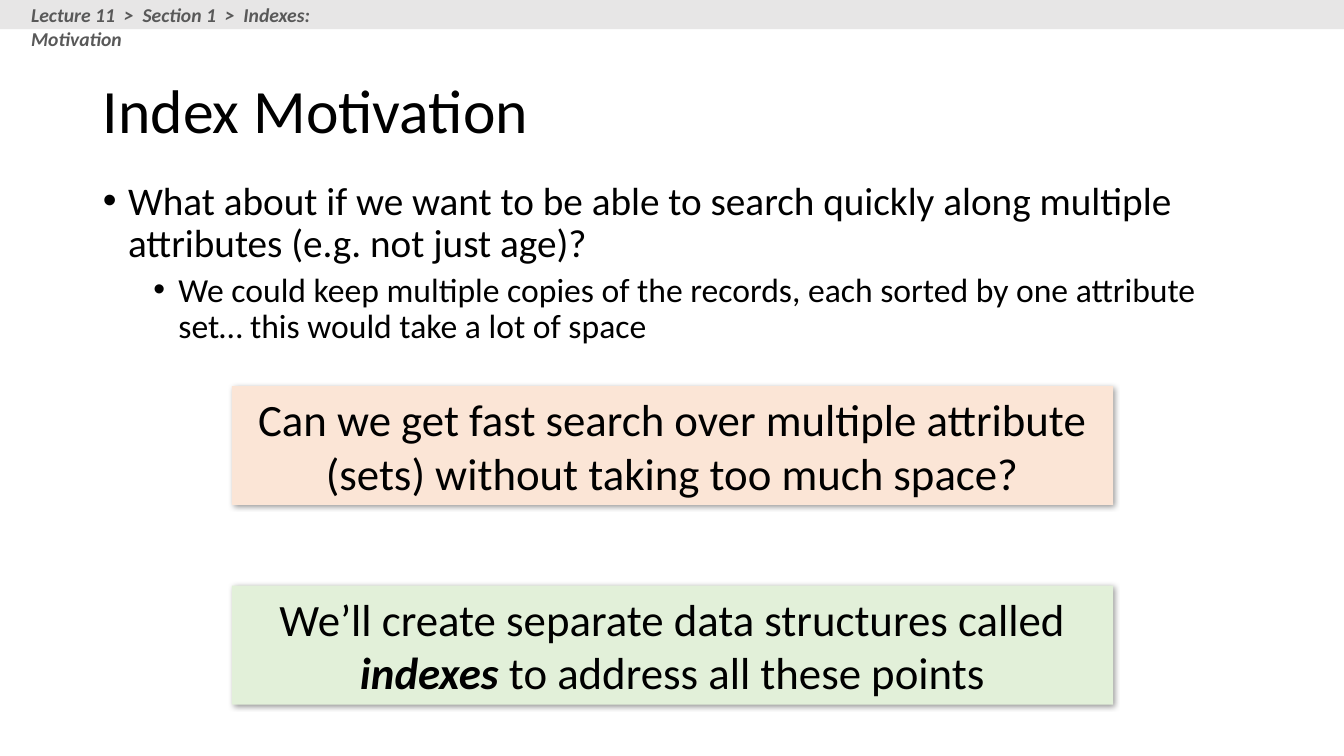
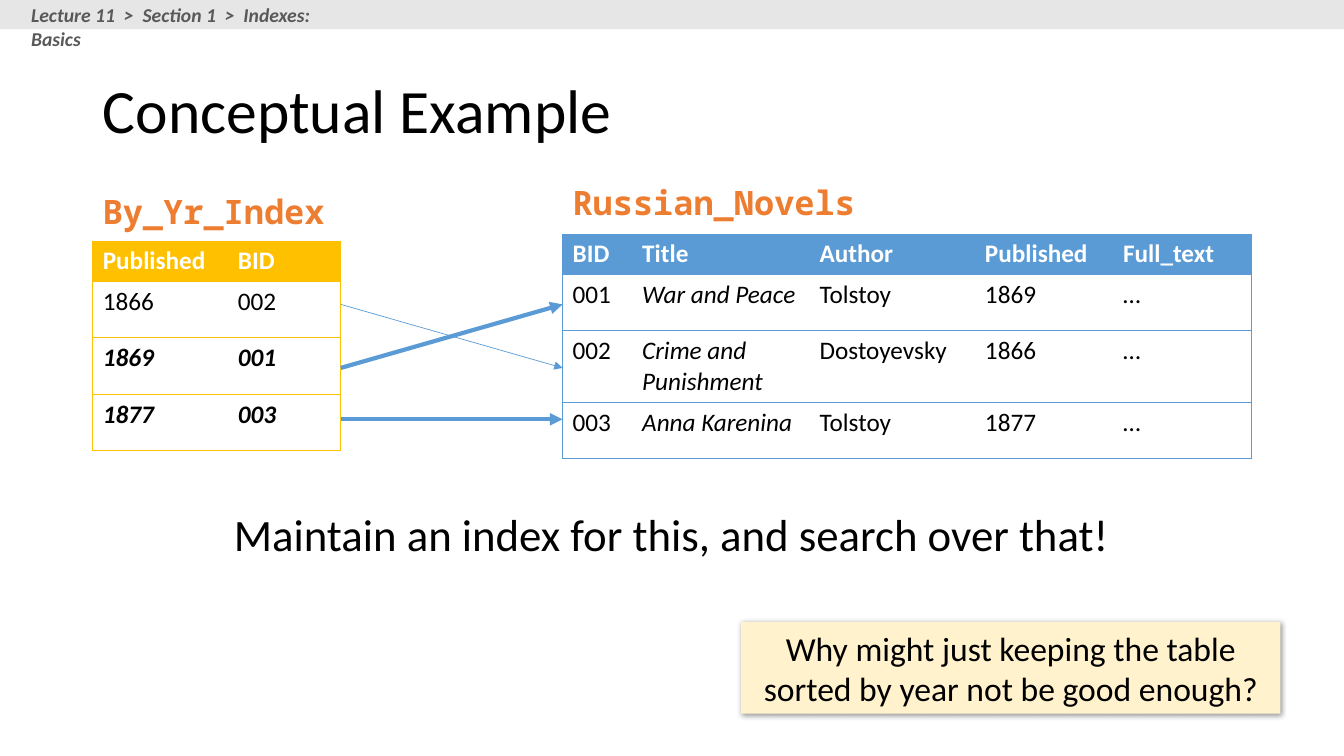
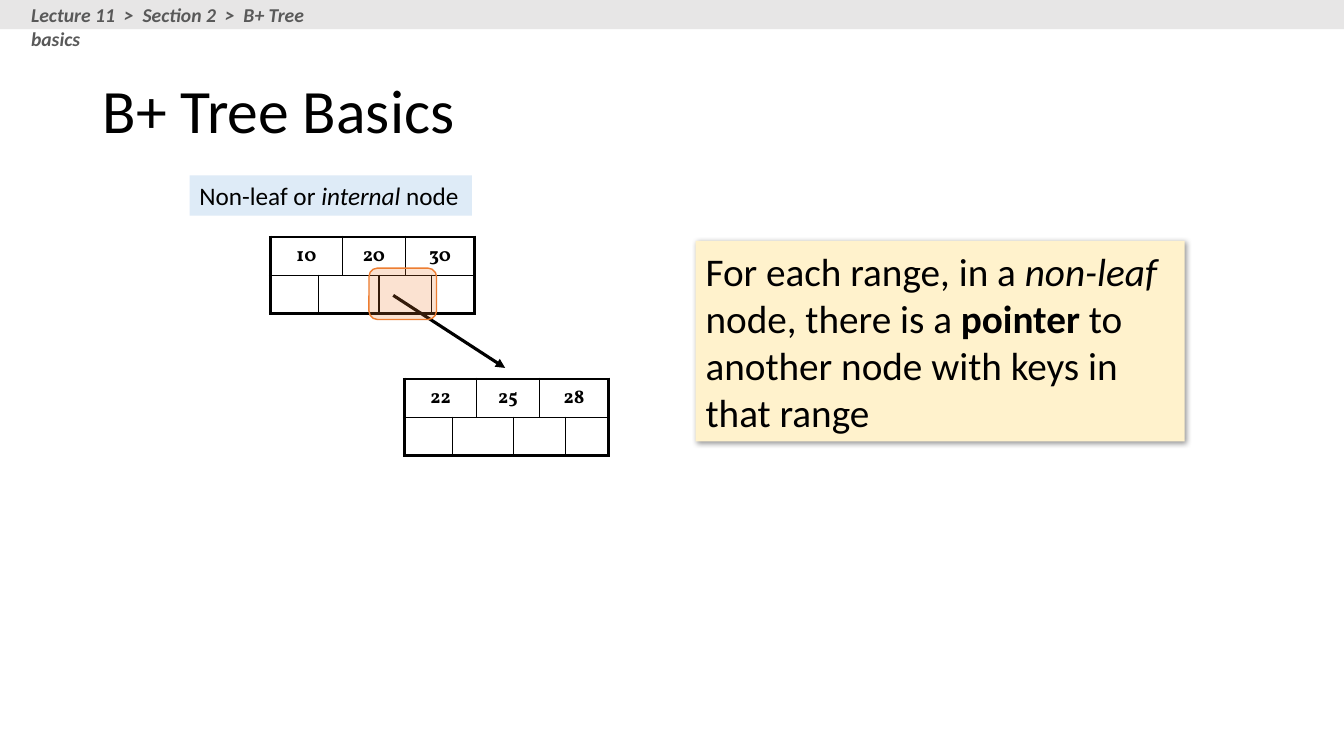
import lxml.etree
import pptx
import pptx.dml.color
import pptx.enum.shapes
import pptx.enum.text
import pptx.oxml.ns
import pptx.util

Inches = pptx.util.Inches
Pt = pptx.util.Pt
qn = pptx.oxml.ns.qn
ALIGN = pptx.enum.text.PP_ALIGN
ANCHOR = pptx.enum.text.MSO_ANCHOR
SHAPE = pptx.enum.shapes.MSO_SHAPE

COLORS = {
    "text": "000000",
    "white": "FFFFFF",
    "band": "E7E6E6",
    "crumb": "595959",
    "peach": "FBE5D6",
    "green": "E2F0D9",
    "cream": "FFF2CC",
    "pale_blue": "DEEBF7",
    "blue": "5B9BD5",
    "gold": "FFC000",
    "orange": "ED7D31",
}
SANS = "Calibri"
MONO = "Noto Sans Mono"
SERIF = "Vollkorn"
PLAIN, BOLD, ITALIC, BOLD_ITALIC = "", "b", "i", "bi"
SLIDE_W, SLIDE_H = 13.33, 7.5
TITLE_BOX = (0.92, 0.4, 11.5, 1.45)
NODE_COLS = [0.48, 0.21, 0.36, 0.26, 0.26, 0.43]
NODE_ROW_H = 0.38
KEY_SPANS = [(0, 1), (2, 3), (4, 5)]
POINTER_SPANS = [(0, 0), (1, 2), (3, 4), (5, 5)]


def rgb(name):
    return pptx.dml.color.RGBColor.from_string(COLORS[name])


def sub(parent, tag, **attrs):
    el = lxml.etree.SubElement(parent, qn(tag))
    for key, value in attrs.items():
        el.set(key, str(value))
    return el


def add_runs(p, runs, size, color="text", font=SANS):
    for text, style in runs:
        r = p.add_run()
        r.text = text
        r.font.name = font
        r.font.size = Pt(size)
        r.font.bold = "b" in style
        r.font.italic = "i" in style
        r.font.color.rgb = rgb(color)


def place(sp, box):
    sp.left, sp.top, sp.width, sp.height = map(Inches, box)


def add_text(slide, box, runs, size, color="text", font=SANS, wrap=True):
    sp = slide.shapes.add_textbox(*map(Inches, box))
    sp.text_frame.word_wrap = wrap
    add_runs(sp.text_frame.paragraphs[0], runs, size, color, font)


def add_block(slide, box, fill, kind=SHAPE.RECTANGLE):
    sp = slide.shapes.add_shape(kind, *map(Inches, box))
    sp.shadow.inherit = False
    sp.fill.solid()
    sp.fill.fore_color.rgb = rgb(fill)
    sp.line.fill.background()
    return sp


def add_panel(slide, box, fill, runs, size, align=ALIGN.CENTER, shadow=True, wrap=True):
    sp = add_block(slide, box, fill)
    if shadow:
        effects = sp._element.spPr.find(qn("a:effectLst"))
        outer = sub(effects, "a:outerShdw", blurRad=Pt(4), dist=Pt(1),
                    dir=45 * 60000, algn="tl", rotWithShape=0)
        sub(sub(outer, "a:srgbClr", val=COLORS["text"]), "a:alpha", val=40000)
    tf = sp.text_frame
    tf.word_wrap = wrap
    p = tf.paragraphs[0]
    p.alignment = align
    add_runs(p, runs, size)


def add_arrow(slide, start, end, color, width):
    cx = slide.shapes.add_connector(
        pptx.enum.shapes.MSO_CONNECTOR.STRAIGHT, *map(Inches, start + end))
    cx.line.color.rgb = rgb(color)
    cx.line.width = Pt(width)
    sub(cx.line._get_or_add_ln(), "a:tailEnd", type="triangle")
    sub(cx._element.spPr, "a:effectLst")


def add_grid(slide, left, top, cols, rows):
    frame = slide.shapes.add_table(
        len(rows), len(cols), Inches(left), Inches(top),
        Inches(sum(cols)), Inches(sum(rows)))
    table = frame.table
    table.first_row = table.horz_banding = False
    for col, width in zip(table.columns, cols):
        col.width = Inches(width)
    for row, height in zip(table.rows, rows):
        row.height = Inches(height)
    return table


def style_cell(cell, fill, line, left, right, top, bottom):
    tc_pr = cell._tc.get_or_add_tcPr()
    for side, width in zip("LRTB", (left, right, top, bottom)):
        ln = sub(tc_pr, "a:ln" + side, w=Pt(width))
        if width:
            sub(sub(ln, "a:solidFill"), "a:srgbClr", val=COLORS[line])
        else:
            sub(ln, "a:noFill")
    cell.fill.solid()
    cell.fill.fore_color.rgb = rgb(fill)


def add_data_table(slide, left, top, cols, heights, accent, records, styles):
    table = add_grid(slide, left, top, cols, heights)
    last = len(cols) - 1
    for i, record in enumerate(records):
        for j, text in enumerate(record):
            cell = table.cell(i, j)
            style_cell(cell, "white" if i else accent, accent,
                       0.5 if j == 0 else 0, 0.5 if j == last else 0, 0.5, 0.5)
            style = styles(i, j) if i else BOLD
            add_runs(cell.text_frame.paragraphs[0], [(text, style)], 18,
                     "text" if i else "white")


def add_tree_node(slide, left, top, keys):
    table = add_grid(slide, left, top, NODE_COLS, [NODE_ROW_H] * 2)
    outer, inner = 2.25, 1
    for i, spans in enumerate((KEY_SPANS, POINTER_SPANS)):
        for first, last in spans:
            for j in range(first, last + 1):
                cell = table.cell(i, j)
                cell.margin_top = cell.margin_bottom = Inches(0.03)
                cell.vertical_anchor = ANCHOR.MIDDLE
                style_cell(cell, "white", "text",
                           outer if first == 0 else inner,
                           outer if last == len(NODE_COLS) - 1 else inner,
                           inner if i else outer, outer if i else inner)
            if last > first:
                table.cell(i, first).merge(table.cell(i, last))
    for key, (first, last) in zip(keys, KEY_SPANS):
        p = table.cell(0, first).text_frame.paragraphs[0]
        p.alignment = ALIGN.CENTER
        add_runs(p, [(key, BOLD)], 14, font=SERIF)


def add_header(slide, crumb):
    add_block(slide, (0, 0, SLIDE_W, 0.29), "band")
    add_text(slide, (0.21, -0.02, 3.15, 0.34), [(crumb, BOLD_ITALIC)], 14, "crumb")


def new_slide(prs, layout, title, crumb):
    slide = prs.slides.add_slide(prs.slide_layouts[layout])
    sp = slide.shapes.title
    place(sp, TITLE_BOX)
    tf = sp.text_frame
    tf.auto_size = pptx.enum.text.MSO_AUTO_SIZE.NONE
    tf.vertical_anchor = ANCHOR.MIDDLE
    p = tf.paragraphs[0]
    p.alignment = ALIGN.LEFT
    p.line_spacing = 0.9
    add_runs(p, [(title, PLAIN)], 44)
    add_header(slide, crumb)
    return slide


def fill_body(sp, box, items):
    place(sp, box)
    tf = sp.text_frame
    tf.auto_size = pptx.enum.text.MSO_AUTO_SIZE.NONE
    for i, (level, text) in enumerate(items):
        p = tf.add_paragraph() if i else tf.paragraphs[0]
        p.level = level
        p.line_spacing = 0.9
        p.space_before = Pt(5 if level else 10)
        p_pr = p._p.get_or_add_pPr()
        p_pr.set("marL", str(Inches(0.25 + 0.5 * level)))
        p_pr.set("indent", str(Inches(-0.25)))
        sub(p_pr, "a:buFont", typeface="Arial")
        sub(p_pr, "a:buChar", char="•")
        add_runs(p, [(text, PLAIN)], 24 if level else 28)


def motivation_slide(prs):
    slide = new_slide(prs, 1, "Index Motivation",
                      "Lecture 11  >  Section 1  >  Indexes: Motivation")
    fill_body(slide.placeholders[1], (0.92, 1.75, 11.5, 4.16), [
        (0, "What about if we want to be able to search quickly along multiple "
            "attributes (e.g. not just age)?"),
        (1, "We could keep multiple copies of the records, each sorted by one "
            "attribute set… this would take a lot of space"),
    ])
    question = [("Can we get fast search over multiple attribute (sets) "
                 "without taking too much space?", PLAIN)]
    answer = [("We’ll create separate data structures called ", PLAIN),
              ("indexes", BOLD_ITALIC),
              (" to address all these points", PLAIN)]
    for top, fill, runs in ((3.83, "peach", question), (5.81, "green", answer)):
        add_panel(slide, (2.3, top, 8.74, 1.18), fill, runs, 32)


def example_slide(prs):
    slide = new_slide(prs, 5, "Conceptual Example",
                      "Lecture 11  >  Section 1  >  Indexes: Basics")
    index_x, novels_x = 0.92, 5.58
    index_cols = [1.34, 1.12]
    add_data_table(
        slide, novels_x, 2.32, [0.69, 1.76, 1.64, 1.37, 1.37],
        [0.4, 0.56, 0.71, 0.56], "blue",
        [("BID", "Title", "Author", "Published", "Full_text"),
         ("001", "War and Peace", "Tolstoy", "1869", "…"),
         ("002", "Crime and Punishment", "Dostoyevsky", "1866", "…"),
         ("003", "Anna Karenina", "Tolstoy", "1877", "…")],
        lambda i, j: ITALIC if j == 1 else PLAIN)
    add_data_table(
        slide, index_x, 2.39, index_cols, [0.4, 0.56, 0.56, 0.56], "gold",
        [("Published", "BID"), ("1866", "002"), ("1869", "001"), ("1877", "003")],
        lambda i, j: BOLD_ITALIC if i > 1 else PLAIN)
    index_right = index_x + sum(index_cols)
    for y1, y2, width in ((3.02, 3.65, 0.5), (3.65, 3.02, 3), (4.16, 4.16, 3)):
        add_arrow(slide, (index_right, y1), (novels_x, y2), "blue", width)
    for box, name in (((novels_x, 1.76, 3.05, 0.5), "Russian_Novels"),
                      ((index_x, 1.84, 2.44, 0.5), "By_Yr_Index")):
        add_text(slide, box, [(name, BOLD)], 24, "orange", MONO, wrap=False)
    add_text(slide, (2.22, 4.98, 8.89, 0.64),
             [("Maintain an index for this, and search over that!", PLAIN)], 32)
    add_panel(slide, (7.35, 6.17, 5.35, 0.91), "cream",
              [("Why might just keeping the table sorted by year "
                "not be good enough?", PLAIN)], 24)


def tree_slide(prs):
    slide = new_slide(prs, 5, "B+ Tree Basics",
                      "Lecture 11  >  Section 2  >  B+ Tree basics")
    add_tree_node(slide, 2.68, 2.35, ("10", "20", "30"))
    add_arrow(slide, (3.9, 2.93), (5.01, 3.65), "text", 2.25)
    add_panel(slide, (1.88, 1.74, 2.8, 0.4), "pale_blue",
              [("Non-leaf or ", PLAIN), ("internal ", ITALIC), ("node", PLAIN)],
              18, ALIGN.LEFT, shadow=False, wrap=False)
    marker = add_block(slide, (3.66, 2.66, 0.67, 0.51), "orange",
                       SHAPE.ROUNDED_RECTANGLE)
    marker.line.color.rgb = rgb("orange")
    marker.line.width = Pt(1)
    tint = marker._element.spPr.find(qn("a:solidFill")).find(qn("a:srgbClr"))
    sub(tint, "a:alpha", val=22000)
    add_tree_node(slide, 4.01, 3.76, ("22", "25", "28"))
    add_panel(slide, (6.9, 2.39, 4.85, 1.99), "cream",
              [("For each range, in a ", PLAIN), ("non-leaf ", ITALIC),
               ("node, there is a ", PLAIN), ("pointer", BOLD),
               (" to another node with keys in that range", PLAIN)],
              28, ALIGN.LEFT)


def main():
    prs = pptx.Presentation()
    prs.slide_width = Inches(SLIDE_W)
    prs.slide_height = Inches(SLIDE_H)
    motivation_slide(prs)
    example_slide(prs)
    tree_slide(prs)
    prs.save("out.pptx")


if __name__ == "__main__":
    main()
